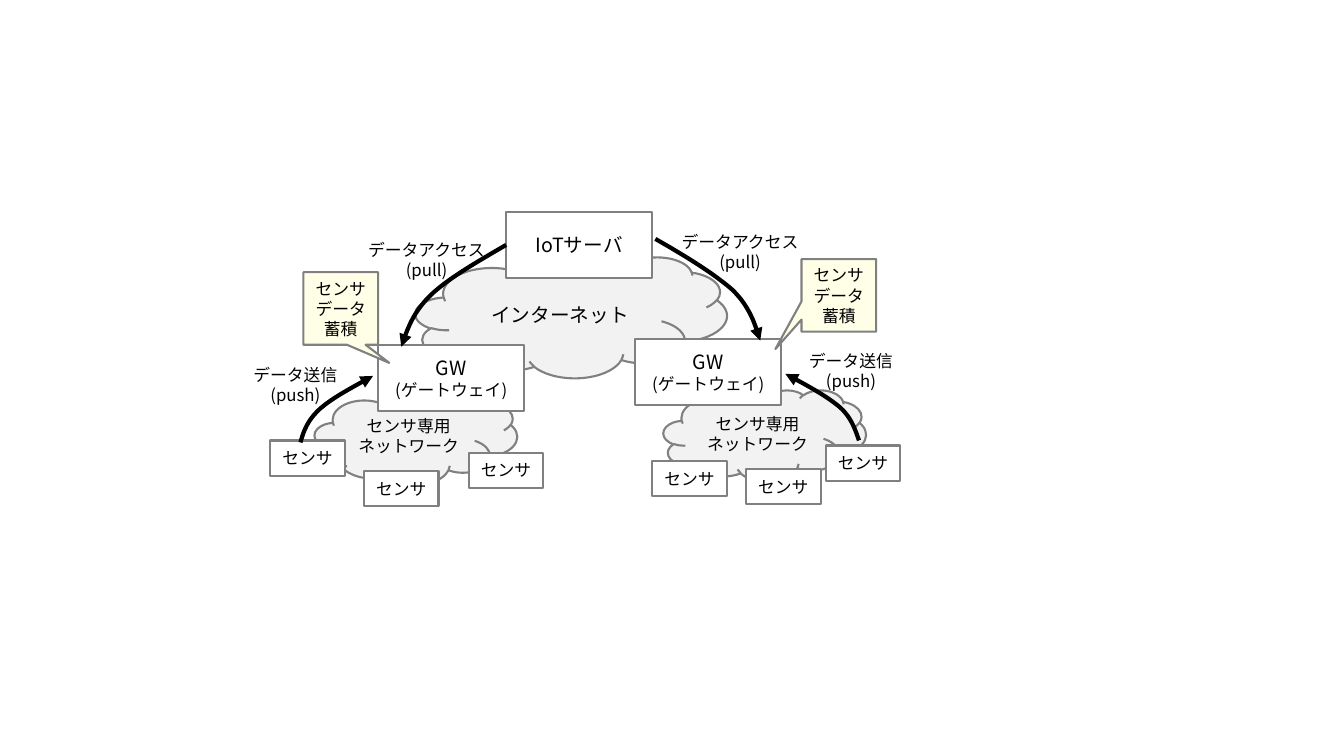
from pptx import Presentation
from pptx.dml.color import RGBColor
from pptx.enum.shapes import MSO_SHAPE as SHAPE
from pptx.enum.text import MSO_ANCHOR as ANCHOR, MSO_AUTO_SIZE as AUTO, PP_ALIGN as ALIGN
from pptx.oxml.ns import qn
from pptx.util import Inches, Pt
from lxml import etree

JP = "Noto Sans CJK JP"
STEPS = 12


def rgb(value):
    return RGBColor.from_string(value)


def write(sp, lines, font=JP):
    """Fill a shape with centred lines given as (text, size) pairs."""
    tf = sp.text_frame
    tf.word_wrap = False
    for i, (text, size) in enumerate(lines):
        p = tf.paragraphs[0] if i == 0 else tf.add_paragraph()
        p.alignment = ALIGN.CENTER
        r = p.add_run()
        r.text = text
        for key, value in {"size": Pt(size), "name": font}.items():
            setattr(r.font, key, value)
        r.font.color.rgb = rgb("000000")
        etree.SubElement(r.font._element, qn("a:ea"), typeface=JP)


prs = Presentation()
prs.slide_width, prs.slide_height = Inches(13.33), Inches(7.5)
s = prs.slides.add_slide(prs.slide_layouts[6])

# Clouds, boxes and callouts, from back to front
network = [("センサ専用", 12), ("ネットワーク", 12)]
gateway = [("GW", 14), ("(ゲートウェイ)", 12)]
storage = [("センサ", 12), ("データ", 12), ("蓄積", 12)]
styles = {
    "cloud": (SHAPE.CLOUD, "F2F2F2", JP),
    "box": (SHAPE.RECTANGLE, "FFFFFF", JP),
    "callout": (SHAPE.RECTANGULAR_CALLOUT, "FFFFE7", "Arial"),
}
sensors = [(2.68, 4.37), (3.61, 4.67), (4.65, 4.49), (6.47, 4.57), (7.4, 4.65), (8.19, 4.42)]
nodes = [
    ("cloud", 6.58, 3.87, 2.01, 0.91, network, ()),
    ("cloud", 3.12, 3.89, 2.01, 0.91, network, ()),
    ("cloud", 4.12, 2.55, 3.09, 1.2, [("インターネット", 14)], ()),
    ("box", 3.75, 3.42, 1.45, 0.66, gateway, ()),
    ("box", 6.3, 3.36, 1.45, 0.66, gateway, ()),
    ("box", 5.02, 2.1, 1.45, 0.66, [("IoTサーバ", 14)], ()),
    *[("box", x, y, 0.74, 0.35, [("センサ", 12)], ()) for x, y in sensors],
    ("callout", 7.95, 2.57, 0.74, 0.72, storage, (-0.85, 0.74)),
    ("callout", 3.01, 2.7, 0.74, 0.72, storage, (0.65, 0.75)),
]
for style, x, y, w, h, lines, tip in nodes:
    preset, fill, font = styles[style]
    sp = s.shapes.add_shape(preset, *map(Inches, (x, y, w, h)))
    sp.shadow.inherit = False
    for i, value in enumerate(tip):
        sp.adjustments[i] = value
    sp.fill.solid()
    sp.fill.fore_color.rgb = rgb(fill)
    sp.line.color.rgb = rgb("808080")
    sp.line.width = Pt(1.5)
    tf = sp.text_frame
    tf.vertical_anchor = ANCHOR.MIDDLE
    for side in ("left", "right", "top", "bottom"):
        setattr(tf, f"margin_{side}", 0)
    write(sp, lines, font)

# Curved arrows: a start point, then two Bézier segments ending at the head
arrows = [
    [(8.52, 4.37), (8.48, 4.26), (8.45, 4.15), (8.33, 4.04), (8.2, 3.93), (8, 3.82), (7.79, 3.71)],
    [(2.98, 4.39), (3.01, 4.28), (3.05, 4.17), (3.17, 4.06), (3.29, 3.95), (3.5, 3.84), (3.7, 3.73)],
    [(5.02, 2.43), (4.73, 2.6), (4.43, 2.77), (4.26, 2.94), (4.09, 3.11), (4.04, 3.27), (3.98, 3.44)],
    [(6.5, 2.37), (6.8, 2.54), (7.09, 2.72), (7.27, 2.88), (7.44, 3.05), (7.49, 3.22), (7.54, 3.38)],
]
for curve in arrows:
    points = []
    for start in (0, 3):
        for step in range(1, STEPS + 1):
            t = step / STEPS
            weights = ((1 - t) ** 3, 3 * t * (1 - t) ** 2, 3 * t * t * (1 - t), t ** 3)
            points.append([Inches(sum(k * pt[axis] for k, pt in zip(weights, curve[start:start + 4])))
                           for axis in (0, 1)])
    builder = s.shapes.build_freeform(*map(Inches, curve[0]))
    builder.add_line_segments(points, close=False)
    sp = builder.convert_to_shape()
    sp.shadow.inherit = False
    sp.fill.background()
    sp.line.color.rgb = rgb("000000")
    sp.line.width = Pt(3)
    etree.SubElement(sp.line._get_or_add_ln(), qn("a:tailEnd"), type="triangle")

# Arrow labels
labels = [
    (7.92, 3.43, 1.04, "データ送信", "(push)"),
    (2.41, 3.57, 1.04, "データ送信", "(push)"),
    (6.65, 2.25, 1.38, "データアクセス", "(pull)"),
    (3.54, 2.33, 1.38, "データアクセス", "(pull)"),
]
for x, y, w, *texts in labels:
    sp = s.shapes.add_textbox(*map(Inches, (x, y, w, 0.5)))
    write(sp, [(text, 12) for text in texts])
    sp.text_frame.auto_size = AUTO.SHAPE_TO_FIT_TEXT

prs.save("out.pptx")
